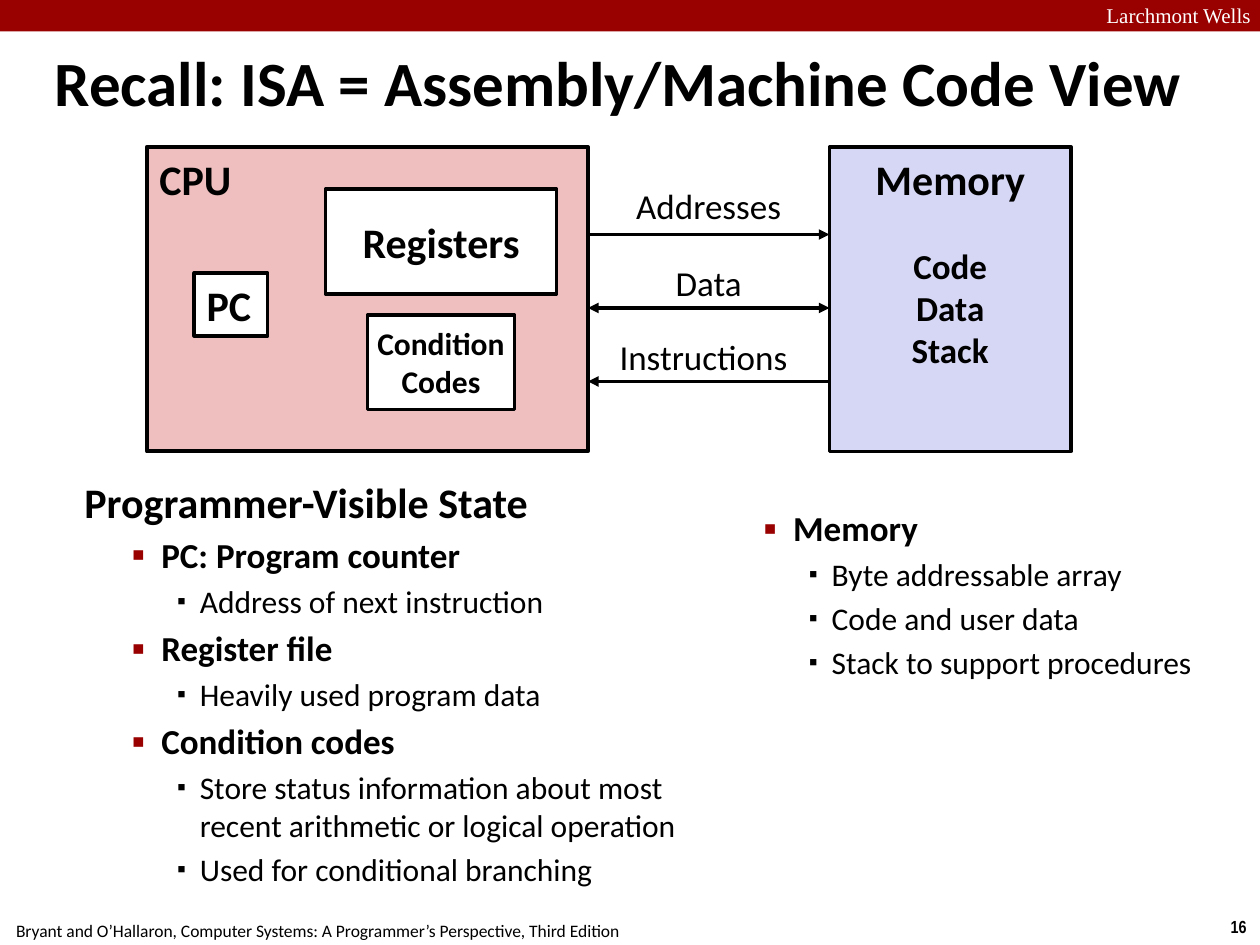
from dataclasses import dataclass

from lxml.etree import SubElement
from pptx import Presentation
from pptx.dml.color import RGBColor
from pptx.enum.shapes import MSO_CONNECTOR, MSO_SHAPE
from pptx.enum.text import MSO_ANCHOR, MSO_AUTO_SIZE, PP_ALIGN
from pptx.oxml.ns import qn
from pptx.util import Pt

COLORS = {
    "black": "000000",
    "white": "FFFFFF",
    "crimson": "990000",
    "cpu": "EFBFBF",
    "memory": "D6D6F5",
}
LEFT, CENTER = PP_ALIGN.LEFT, PP_ALIGN.CENTER
TOP, MIDDLE = MSO_ANCHOR.TOP, MSO_ANCHOR.MIDDLE


@dataclass(frozen=True)
class Box:
    left: float
    top: float
    width: float
    height: float

    def lengths(self) -> tuple:
        return Pt(self.left), Pt(self.top), Pt(self.width), Pt(self.height)


@dataclass(frozen=True)
class Unit:
    """A labelled hardware block; each line of the label is a paragraph."""
    label: str
    box: Box
    fill: str = "white"
    size: float = 24
    align: PP_ALIGN = CENTER
    anchor: MSO_ANCHOR = MIDDLE
    border: float = 2


@dataclass(frozen=True)
class Label:
    text: str
    box: Box
    size: float
    font: str = "Calibri"
    color: str = "black"
    bold: bool = False
    wrap: bool = True


@dataclass(frozen=True)
class Flow:
    """Bus traffic between the CPU and the memory."""
    name: str
    label_top: float
    label_width: float
    to_cpu: bool
    to_memory: bool


@dataclass(frozen=True)
class ListLevel:
    size: float
    bold: bool
    hanging: float
    bullet_percent: int = 0
    bullet_color: str = "black"


CPU = Unit("CPU", Box(84, 84, 252, 174), "cpu", align=LEFT, anchor=TOP, border=2.25)
MEMORY = Unit("Memory", Box(474, 84, 138, 174), "memory", anchor=TOP)
UNITS = [
    CPU,
    Unit("PC", Box(111, 156, 42, 36), align=LEFT),
    Unit("Registers", Box(186, 108, 132, 60)),
    MEMORY,
    Unit("Condition\nCodes", Box(210, 180, 84, 54), size=18),
]
FLOWS = [
    Flow("Addresses", 102, 138, to_cpu=False, to_memory=True),
    Flow("Data", 146, 138, to_cpu=True, to_memory=True),
    Flow("Instructions", 188, 132, to_cpu=True, to_memory=False),
]
FIRST_FLOW, FLOW_STEP = 134, 42

LABELS = [
    Label("Larchmont Wells", Box(622, -2, 103, 22), 12, "Times New Roman", "white"),
    Label("16", Box(695.5, 520, 24.5, 19), 10, "Arial Narrow", bold=True, wrap=False),
    Label("Bryant and O’Hallaron, Computer Systems: A Programmer’s Perspective, "
          "Third Edition", Box(-1.5, 522, 366, 19), 10, wrap=False),
    Label("Code\nData\nStack", Box(498, 136, 90, 80), 20, bold=True),
]

LEVELS = [
    ListLevel(24, True, 18),
    ListLevel(20, True, 17, 110, "crimson"),
    ListLevel(18, False, 13, 80),
]
STATE_ITEMS = [
    (0, "Programmer-Visible State"),
    (1, "PC: Program counter"),
    (2, "Address of next instruction"),
    (1, "Register file"),
    (2, "Heavily used program data"),
    (1, "Condition codes"),
    (2, "Store status information about most recent arithmetic or logical operation"),
    (2, "Used for conditional branching"),
]
MEMORY_ITEMS = [
    (1, "Memory"),
    (2, "Byte addressable array"),
    (2, "Code and user data"),
    (2, "Stack to support procedures"),
]


def rgb(color: str) -> RGBColor:
    return RGBColor.from_string(COLORS[color])


def set_font(paragraph, size: float, bold: bool, color="black", name="Calibri") -> None:
    font = paragraph.font
    font.name, font.size, font.bold = name, Pt(size), bold
    font.color.rgb = rgb(color)


def place(shape, box: Box) -> None:
    shape.left, shape.top, shape.width, shape.height = box.lengths()


def add_block(slide, box: Box, fill: str):
    block = slide.shapes.add_shape(MSO_SHAPE.RECTANGLE, *box.lengths())
    block.shadow.inherit = False
    block.fill.solid()
    block.fill.fore_color.rgb = rgb(fill)
    return block


def add_unit(slide, unit: Unit) -> None:
    block = add_block(slide, unit.box, unit.fill)
    block.line.color.rgb = rgb("black")
    block.line.width = Pt(unit.border)
    frame = block.text_frame
    frame.word_wrap = False
    frame.vertical_anchor = unit.anchor
    frame.text = unit.label
    for paragraph in frame.paragraphs:
        paragraph.alignment = unit.align
        set_font(paragraph, unit.size, True)


def add_label(slide, label: Label) -> None:
    frame = slide.shapes.add_textbox(*label.box.lengths()).text_frame
    frame.word_wrap = label.wrap
    frame.text = label.text
    for paragraph in frame.paragraphs:
        paragraph.alignment = CENTER
        set_font(paragraph, label.size, label.bold, label.color, label.font)


def add_flow(slide, flow: Flow, y: float) -> None:
    start, end = CPU.box.left + CPU.box.width, MEMORY.box.left
    arrow = slide.shapes.add_connector(
        MSO_CONNECTOR.STRAIGHT, Pt(start), Pt(y), Pt(end), Pt(y))
    arrow.line.color.rgb = rgb("black")
    arrow.line.width = Pt(2)
    line = arrow.line._get_or_add_ln()
    for tag, shown in (("a:headEnd", flow.to_cpu), ("a:tailEnd", flow.to_memory)):
        if shown:
            SubElement(line, qn(tag), type="triangle")
    SubElement(arrow._element.spPr, qn("a:effectLst"))
    add_label(slide, Label(flow.name, Box(start, flow.label_top, flow.label_width, 31), 20))


def set_bullet(paragraph, level: ListLevel, margin: float) -> None:
    properties = paragraph._p.get_or_add_pPr()
    properties.set("marL", str(Pt(margin)))
    properties.set("indent", str(Pt(-level.hanging)))
    if not level.bullet_percent:
        SubElement(properties, qn("a:buNone"))
        return
    color = SubElement(properties, qn("a:buClr"))
    SubElement(color, qn("a:srgbClr"), val=COLORS[level.bullet_color])
    SubElement(properties, qn("a:buSzPct"), val=str(level.bullet_percent * 1000))
    SubElement(properties, qn("a:buChar"), char="▪")


def fill_list(placeholder, box: Box, items: list, margins: list) -> None:
    place(placeholder, box)
    frame = placeholder.text_frame
    frame.auto_size = MSO_AUTO_SIZE.NONE
    frame.text = "\n".join(text for _, text in items)
    for paragraph, (depth, _) in zip(frame.paragraphs, items):
        level = LEVELS[depth]
        paragraph.level = depth
        set_bullet(paragraph, level, margins[depth])
        set_font(paragraph, level.size, level.bold)


def main() -> None:
    deck = Presentation()
    deck.slide_width, deck.slide_height = Pt(720), Pt(540)
    slide = deck.slides.add_slide(deck.slide_layouts.get_by_name("Two Content"))
    title, state, memory = slide.placeholders

    place(title, Box(24, 24, 664, 45))
    title.text_frame.text = "Recall: ISA = Assembly/Machine Code View"
    title.text_frame.auto_size = MSO_AUTO_SIZE.NONE
    heading = title.text_frame.paragraphs[0]
    heading.alignment = LEFT
    set_font(heading, 36, True)

    fill_list(state, Box(41, 268.5, 382, 250.5), STATE_ITEMS, [18, 44, 66])
    fill_list(memory, Box(423, 286, 285, 124), MEMORY_ITEMS, [0, 23, 45])

    add_block(slide, Box(0, 0, 720, 18), "crimson").line.fill.background()
    for unit in UNITS:
        add_unit(slide, unit)
    for label in LABELS:
        add_label(slide, label)
    for index, flow in enumerate(FLOWS):
        add_flow(slide, flow, FIRST_FLOW + index * FLOW_STEP)
    deck.save("out.pptx")


if __name__ == "__main__":
    main()
